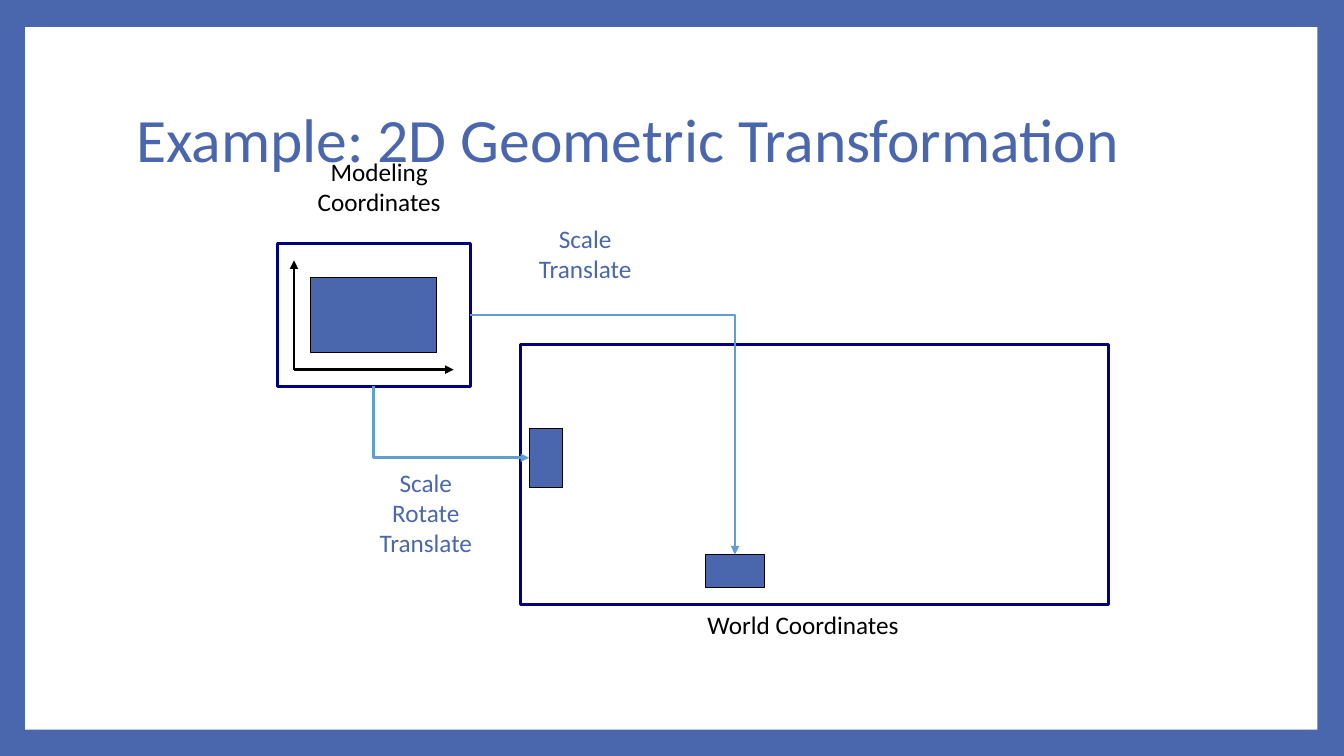
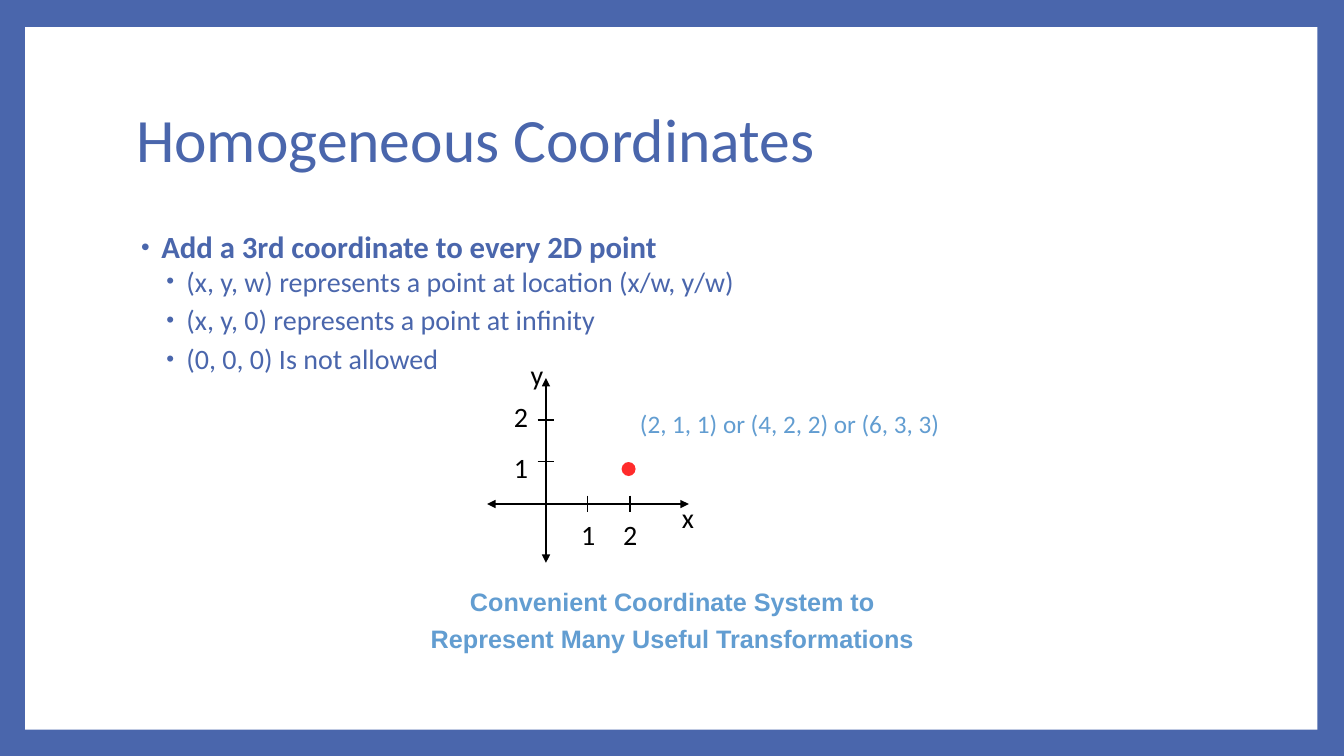
from dataclasses import dataclass

from lxml import etree
from pptx import Presentation
from pptx.dml.color import RGBColor
from pptx.enum.shapes import MSO_CONNECTOR, MSO_SHAPE, PP_PLACEHOLDER
from pptx.enum.text import MSO_ANCHOR, MSO_AUTO_SIZE, PP_ALIGN
from pptx.oxml.ns import qn
from pptx.util import Pt

RECTANGLE, OVAL = MSO_SHAPE.RECTANGLE, MSO_SHAPE.OVAL
STRAIGHT, ELBOW = MSO_CONNECTOR.STRAIGHT, MSO_CONNECTOR.ELBOW
TITLE, BODY = PP_PLACEHOLDER.TITLE, PP_PLACEHOLDER.BODY
LEFT, CENTER = PP_ALIGN.LEFT, PP_ALIGN.CENTER
MIDDLE, TOP = MSO_ANCHOR.MIDDLE, MSO_ANCHOR.TOP
FIXED, GROW = MSO_AUTO_SIZE.NONE, MSO_AUTO_SIZE.SHAPE_TO_FIT_TEXT
TITLE_ONLY, TITLE_AND_CONTENT = 5, 1
SITE_TOP, SITE_LEFT, SITE_BOTTOM, SITE_RIGHT = range(4)


@dataclass(frozen=True)
class Theme:
    blue: RGBColor = RGBColor(0x4A, 0x66, 0xAC)
    sky: RGBColor = RGBColor(0x62, 0x9D, 0xD1)
    navy: RGBColor = RGBColor(0x00, 0x00, 0x80)
    red: RGBColor = RGBColor(0xFF, 0x2B, 0x2B)
    black: RGBColor = RGBColor(0, 0, 0)
    white: RGBColor = RGBColor(0xFF, 0xFF, 0xFF)
    font: str = "Calibri"
    caption_font: str = "Arial"
    title_size: float = 44
    point_size: float = 22
    detail_size: float = 20
    label_size: float = 18
    thick: float = 2
    thin: float = 0.75


THEME = Theme()


@dataclass(frozen=True)
class Area:
    left: float
    top: float
    width: float
    height: float

    def lengths(self):
        return Pt(self.left), Pt(self.top), Pt(self.width), Pt(self.height)


@dataclass(frozen=True)
class Style:
    size: float
    color: RGBColor
    font: str = THEME.font
    bold: bool = False


@dataclass(frozen=True)
class Label:
    area: Area
    lines: tuple
    style: Style
    align: PP_ALIGN = LEFT
    wrap: bool = False
    gap: float = 0


@dataclass(frozen=True)
class Block:
    area: Area
    fill: RGBColor | None = None
    line: RGBColor | None = None
    weight: float = THEME.thin
    kind: MSO_SHAPE = RECTANGLE


@dataclass(frozen=True)
class Segment:
    start: tuple
    end: tuple
    weight: float = THEME.thick
    head: bool = False
    tail: bool = False


@dataclass(frozen=True)
class Bullet:
    text: str
    style: Style
    level: int
    before: float
    after: float


PANEL = Area(18, 19.44, 923.04, 501.84)
TITLE_AREA = Area(90, 48.24, 777.6, 106.56)
BODY_AREA = Area(90, 162, 777.6, 318.24)
TITLE_STYLE = Style(THEME.title_size, THEME.blue)
POINT_STYLE = Style(THEME.point_size, THEME.blue, bold=True)
DETAIL_STYLE = Style(THEME.detail_size, THEME.blue)
AXIS_STYLE = Style(THEME.detail_size, THEME.black)
SPACE_STYLE = Style(THEME.label_size, THEME.black)
STEP_STYLE = Style(THEME.label_size, THEME.blue)
TUPLE_STYLE = Style(THEME.label_size, THEME.sky)
CAPTION_STYLE = Style(THEME.label_size, THEME.sky, THEME.caption_font, True)


def place(shape, area: Area) -> None:
    shape.left, shape.top, shape.width, shape.height = area.lengths()


def add_span(para, text: str, style: Style) -> None:
    span = para.add_run()
    span.text = text
    span.font.name = style.font
    span.font.size = Pt(style.size)
    span.font.bold = style.bold
    span.font.color.rgb = style.color


def next_para(frame, index: int):
    return frame.add_paragraph() if index else frame.paragraphs[0]


def add_label(page, label: Label) -> None:
    frame = page.shapes.add_textbox(*label.area.lengths()).text_frame
    frame.word_wrap = label.wrap
    frame.auto_size = GROW
    for index, line in enumerate(label.lines):
        para = next_para(frame, index)
        para.alignment = label.align
        if index:
            para.space_before = Pt(label.gap)
        add_span(para, line, label.style)


def add_block(page, block: Block):
    box = page.shapes.add_shape(block.kind, *block.area.lengths())
    box.shadow.inherit = False
    if block.fill is None:
        box.fill.background()
    else:
        box.fill.solid()
        box.fill.fore_color.rgb = block.fill
    if block.line is None:
        box.line.fill.background()
    else:
        box.line.color.rgb = block.line
        box.line.width = Pt(block.weight)
    return box


def style_connector(connector, color: RGBColor, weight: float, head: bool, tail: bool) -> None:
    connector.line.color.rgb = color
    connector.line.width = Pt(weight)
    properties = connector.element.spPr
    outline = properties.find(qn("a:ln"))
    for name, shown in (("a:headEnd", head), ("a:tailEnd", tail)):
        if shown:
            etree.SubElement(outline, qn(name), type="triangle")
    etree.SubElement(properties, qn("a:effectLst"))


def add_segment(page, segment: Segment) -> None:
    ends = [Pt(value) for value in segment.start + segment.end]
    connector = page.shapes.add_connector(STRAIGHT, *ends)
    style_connector(connector, THEME.black, segment.weight, segment.head, segment.tail)


def add_elbow(page, source, source_site: int, target, target_site: int) -> None:
    connector = page.shapes.add_connector(ELBOW, 0, 0, 0, 0)
    connector.begin_connect(source, source_site)
    connector.end_connect(target, target_site)
    properties = connector.element.spPr
    properties.find(qn("a:prstGeom")).set("prst", "bentConnector2")
    if source_site == SITE_BOTTOM:
        width, height = connector.width, connector.height
        connector.left += (width - height) // 2
        connector.top += (height - width) // 2
        connector.width, connector.height = height, width
        connector.element.spPr.find(qn("a:xfrm")).set("flipH", "1")
        connector.element.spPr.find(qn("a:xfrm")).set("rot", "16200000")
    style_connector(connector, THEME.sky, THEME.thick, False, True)


def add_bullet(para, bullet: Bullet) -> None:
    para.level = bullet.level
    properties = para._p.get_or_add_pPr()
    properties.set("marL", str(Pt(18 * (bullet.level + 1))))
    properties.set("indent", str(Pt(-14.4)))
    color = etree.SubElement(properties, qn("a:buClr"))
    etree.SubElement(color, qn("a:srgbClr"), val=str(THEME.blue))
    etree.SubElement(properties, qn("a:buSzPct"), val="80000")
    etree.SubElement(properties, qn("a:buFont"), typeface="Arial")
    etree.SubElement(properties, qn("a:buChar"), char="•")
    para.alignment = LEFT
    para.line_spacing = 0.9
    para.space_before = Pt(bullet.before)
    para.space_after = Pt(bullet.after)
    add_span(para, bullet.text, bullet.style)


def add_page(deck, layout: int, title: str):
    page = deck.slides.add_slide(deck.slide_layouts[layout])
    frame = page.shapes.title.text_frame
    frame.vertical_anchor = MIDDLE
    frame.auto_size = FIXED
    para = frame.paragraphs[0]
    para.alignment = LEFT
    para.line_spacing = 0.9
    add_span(para, title, TITLE_STYLE)
    return page


def format_master(deck, page) -> None:
    master = deck.slide_master
    master.background.fill.solid()
    master.background.fill.fore_color.rgb = THEME.blue
    areas = {TITLE: TITLE_AREA, BODY: BODY_AREA}
    for holder in master.placeholders:
        kind = holder.placeholder_format.type
        if kind in areas:
            place(holder, areas[kind])
    panel = add_block(page, Block(PANEL, THEME.white))
    master.shapes.element.insert(2, panel.element)


def draw_transformation(page) -> None:
    model = add_block(page, Block(Area(198, 174, 138, 102), line=THEME.navy, weight=THEME.thick))
    add_block(page, Block(Area(372, 246, 420, 186), line=THEME.navy, weight=THEME.thick))
    corner = (210, 264)
    for end in ((324, 264), (210, 186)):
        add_segment(page, Segment(corner, end, tail=True))
    original, rotated, scaled = [
        add_block(page, Block(area, THEME.blue, THEME.black))
        for area in (Area(222, 198, 90, 54), Area(378, 306, 24, 42), Area(504, 396, 42, 24))
    ]
    labels = (
        Label(Area(219, 108, 103.68, 51), ("Modeling", "Coordinates"), SPACE_STYLE, CENTER),
        Label(Area(498.24, 432, 152.64, 29), ("World Coordinates",), SPACE_STYLE),
        Label(Area(377.28, 156, 81.36, 51), ("Scale", "Translate"), STEP_STYLE, CENTER),
        Label(Area(263.52, 330, 81.36, 73), ("Scale", "Rotate", "Translate"), STEP_STYLE, CENTER),
    )
    for label in labels:
        add_label(page, label)
    add_elbow(page, model, SITE_RIGHT, scaled, SITE_TOP)
    add_elbow(page, model, SITE_BOTTOM, rotated, SITE_LEFT)


def draw_axes(page) -> None:
    origin_x, origin_y, unit, tick = 390, 360, 30, 6
    add_segment(page, Segment((origin_x, 270), (origin_x, 402), head=True, tail=True))
    add_segment(page, Segment((348, origin_y), (492, origin_y), head=True, tail=True))
    marks = [("x", 480, 354), ("y", 372, 252)]
    for number in (1, 2):
        x, y = origin_x + number * unit, origin_y - number * unit
        add_segment(page, Segment((x, origin_y - tick), (x, origin_y + tick), THEME.thin))
        add_segment(page, Segment((origin_x - tick, y), (origin_x + tick, y), THEME.thin))
        marks.append((str(number), x - 12, origin_y + tick))
        marks.append((str(number), origin_x - unit, 354 - 36 * number))
    for text, left, top in marks:
        add_label(page, Label(Area(left, top, 24.5, 31), (text,), AXIS_STYLE, wrap=True))
    add_block(page, Block(Area(444, 330, 10, 10), THEME.red, kind=OVAL))


def draw_homogeneous(page) -> None:
    details = (
        "(x, y, w) represents a point at location (x/w, y/w)",
        "(x, y, 0) represents a point at infinity",
        "(0, 0, 0) Is not allowed",
    )
    bullets = [Bullet("Add a 3rd coordinate to every 2D point", POINT_STYLE, 0, 0, 0)]
    bullets += [Bullet(text, DETAIL_STYLE, 1, 2, 4) for text in details]
    frame = page.placeholders[1].text_frame
    frame.vertical_anchor = TOP
    frame.auto_size = FIXED
    for index, bullet in enumerate(bullets):
        add_bullet(next_para(frame, index), bullet)
    draw_axes(page)
    add_label(page, Label(Area(450, 288, 231.84, 29), ("(2, 1, 1) or (4, 2, 2) or (6, 3, 3)",), TUPLE_STYLE))
    caption = ("Convenient Coordinate System to", "Represent Many Useful Transformations")
    add_label(page, Label(Area(298.8, 415.44, 362.88, 55.4), caption, CAPTION_STYLE, CENTER, gap=5))


def main() -> None:
    deck = Presentation()
    deck.slide_width, deck.slide_height = Pt(960), Pt(540)
    transformation = add_page(deck, TITLE_ONLY, "Example: 2D Geometric Transformation")
    format_master(deck, transformation)
    draw_transformation(transformation)
    draw_homogeneous(add_page(deck, TITLE_AND_CONTENT, "Homogeneous Coordinates"))
    deck.save("out.pptx")


if __name__ == "__main__":
    main()
